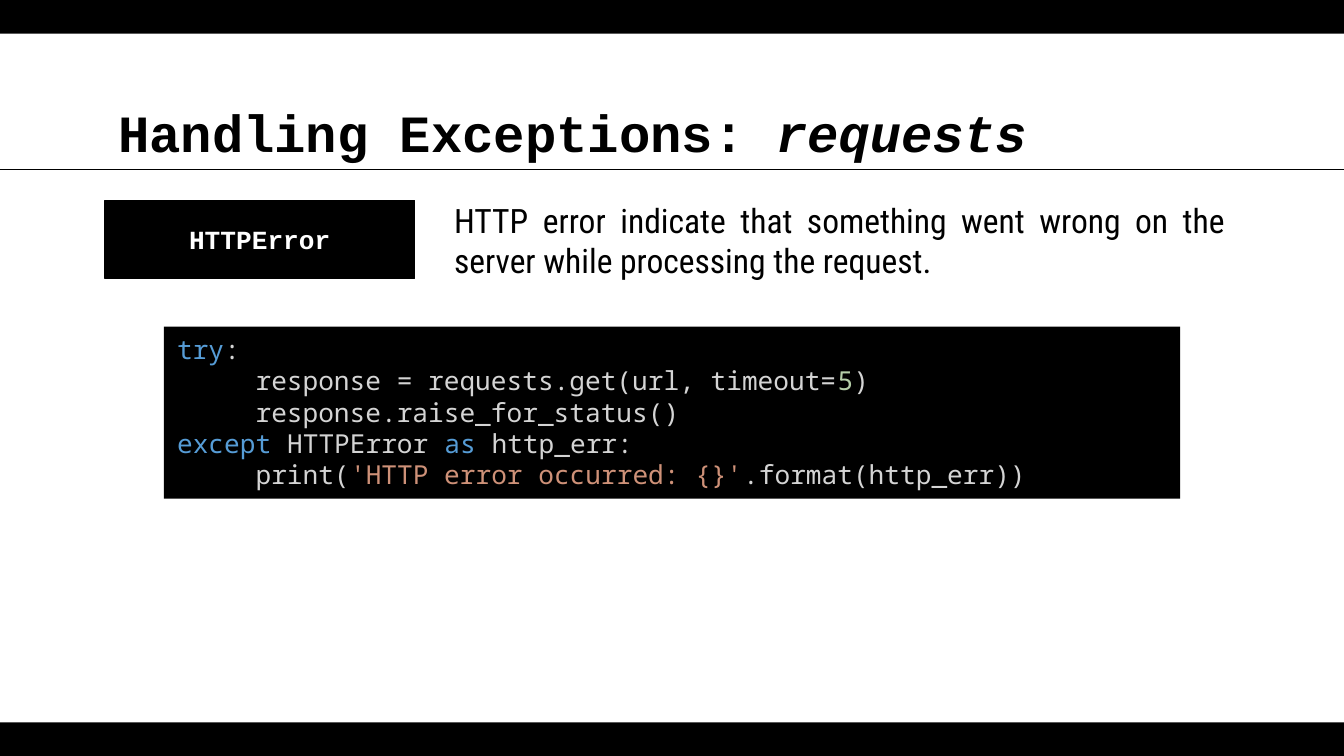
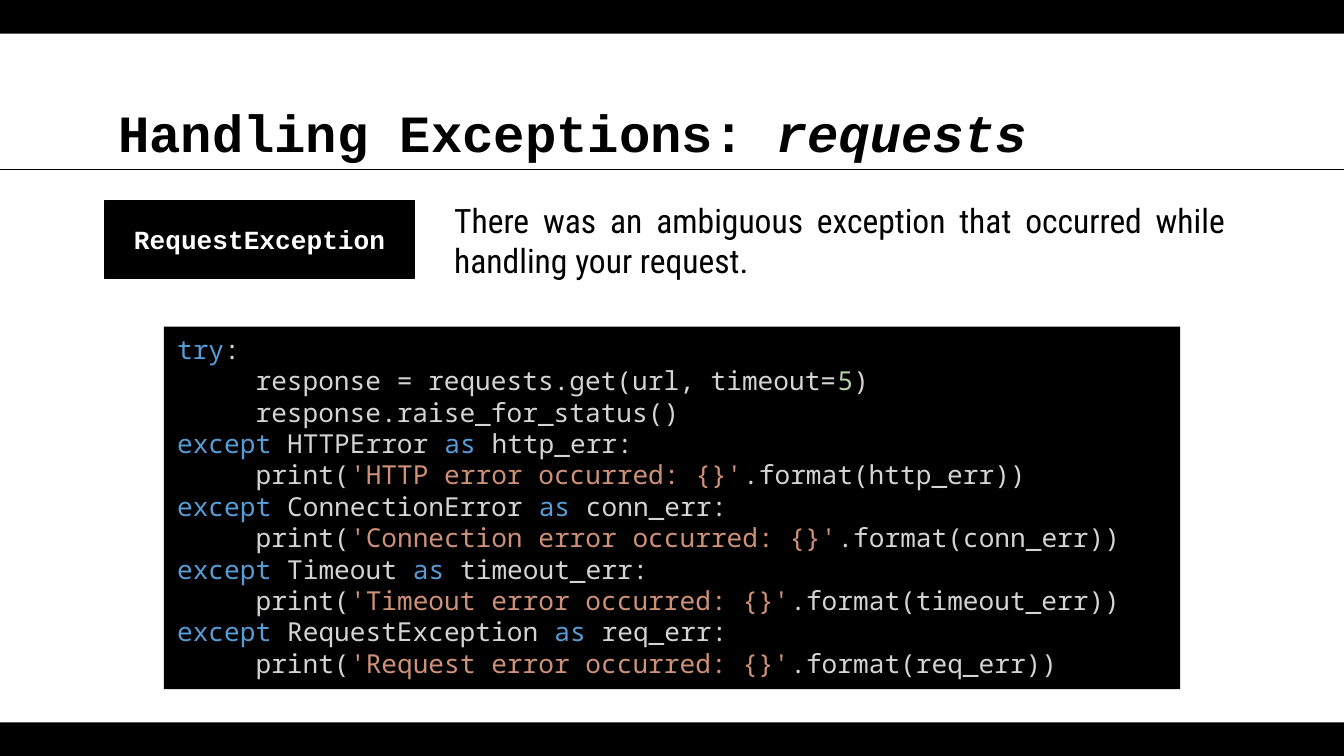
"""Build two slides on handling exceptions with the requests library."""
from typing import NamedTuple

from lxml.etree import SubElement
from pptx import Presentation
from pptx.dml.color import RGBColor
from pptx.enum.shapes import MSO_CONNECTOR as Connector, MSO_SHAPE as Shape
from pptx.enum.text import MSO_ANCHOR as Anchor, PP_ALIGN as Align
from pptx.oxml.ns import qn
from pptx.util import Pt

COLORS = {
    "black": "000000",
    "white": "FFFFFF",
    "keyword": "569CD6",
    "plain": "D4D4D4",
    "number": "B5CEA8",
    "string": "CE9178",
}
SLIDE_WIDTH, SLIDE_HEIGHT = 720, 405
BAND_HEIGHT = 18
MARGIN = 56.2
CONTENT_WIDTH = SLIDE_WIDTH - 2 * MARGIN
RULE_TOP = 90.7
CODE_LEFT, CODE_TOP = 87.8, 175
CODE_LINE_HEIGHT = 17
INDENT = " " * 5


class Box(NamedTuple):
    left: float
    top: float
    width: float
    height: float


class Style(NamedTuple):
    font: str
    size: float
    bold: bool = False
    align: Align = Align.LEFT
    anchor: Anchor = Anchor.TOP
    insets: tuple[float, float, float, float] = (7.2, 7.2, 7.2, 7.2)


class Token(NamedTuple):
    text: str
    color: str = "plain"
    italic: bool = False


class Handler(NamedTuple):
    exception: str
    variable: str
    label: str


class Topic(NamedTuple):
    exception: str
    description: str
    handlers: list[Handler]


TITLE = Style("Courier New", 28, True, anchor=Anchor.BOTTOM, insets=(7.2, 7.2, 7.2, 3.6))
BODY = Style("Roboto Condensed", 18, align=Align.JUSTIFY)
LABEL = Style("Courier New", 14, True, Align.CENTER, Anchor.MIDDLE)
CODE = Style("Noto Sans Mono", 14, insets=(7.2, 3.6, 7.2, 3.6))

HANDLERS = [
    Handler("HTTPError", "http_err", "HTTP"),
    Handler("ConnectionError", "conn_err", "Connection"),
    Handler("Timeout", "timeout_err", "Timeout"),
    Handler("RequestException", "req_err", "Request"),
]
TOPICS = [
    Topic(
        "HTTPError",
        "HTTP error indicate that something went wrong on the server while processing the request.",
        HANDLERS[:1],
    ),
    Topic(
        "RequestException",
        "There was an ambiguous exception that occurred while handling your request.",
        HANDLERS,
    ),
]
TRY_LINES = [
    [Token("try", "keyword"), Token(":")],
    [Token(f"{INDENT}response = requests.get(url, timeout="), Token("5", "number"), Token(")")],
    [Token(f"{INDENT}response.raise_for_status()")],
]


def rgb(name: str) -> RGBColor:
    return RGBColor.from_string(COLORS[name])


def write(shape, lines: list[list[Token]], style: Style) -> None:
    frame = shape.text_frame
    frame.word_wrap = True
    frame.vertical_anchor = style.anchor
    frame.margin_left, frame.margin_top, frame.margin_right, frame.margin_bottom = map(
        Pt, style.insets
    )
    for index, tokens in enumerate(lines):
        paragraph = frame.add_paragraph() if index else frame.paragraphs[0]
        paragraph.alignment = style.align
        for token in tokens:
            run = paragraph.add_run()
            run.text = token.text
            run.font.name = style.font
            run.font.size = Pt(style.size)
            run.font.bold = style.bold
            run.font.italic = token.italic
            run.font.color.rgb = rgb(token.color)


def add_text(slide, box: Box, tokens: list[Token], style: Style) -> None:
    write(slide.shapes.add_textbox(*map(Pt, box)), [tokens], style)


def add_block(slide, box: Box, outlined: bool = False):
    shape = slide.shapes.add_shape(Shape.RECTANGLE, *map(Pt, box))
    shape.shadow.inherit = False
    shape.fill.solid()
    shape.fill.fore_color.rgb = rgb("black")
    if outlined:
        shape.line.color.rgb = rgb("black")
        shape.line.width = Pt(0.75)
    else:
        shape.line.fill.background()
    return shape


def add_frame(slide) -> None:
    slide.background.fill.solid()
    slide.background.fill.fore_color.rgb = rgb("white")
    for top in (SLIDE_HEIGHT - BAND_HEIGHT, 0):
        add_block(slide, Box(0, top, SLIDE_WIDTH, BAND_HEIGHT))
    add_text(
        slide,
        Box(MARGIN, 42.5, CONTENT_WIDTH, RULE_TOP - 42.5),
        [Token("Handling Exceptions: ", "black"), Token("requests", "black", True)],
        TITLE,
    )
    rule = slide.shapes.add_connector(
        Connector.STRAIGHT, Pt(-1.4), Pt(RULE_TOP), Pt(SLIDE_WIDTH + 1.4), Pt(RULE_TOP)
    )
    rule.line.color.rgb = rgb("black")
    rule.line.width = Pt(0.75)
    SubElement(rule.element.spPr, qn("a:effectLst"))


def handler_lines(handler: Handler) -> list[list[Token]]:
    return [
        [
            Token("except ", "keyword"),
            Token(f"{handler.exception} "),
            Token("as ", "keyword"),
            Token(f"{handler.variable}:"),
        ],
        [
            Token(f"{INDENT}print("),
            Token(f"'{handler.label} error occurred: {{}}'", "string"),
            Token(f".format({handler.variable}))"),
        ],
    ]


def add_topic(presentation, topic: Topic) -> None:
    slide = presentation.slides.add_slide(presentation.slide_layouts[6])
    add_frame(slide)
    add_text(slide, Box(236.2, 100, 427.6, 53.3), [Token(topic.description, "black")], BODY)
    label = add_block(slide, Box(MARGIN, 107.3, 166, 42), outlined=True)
    write(label, [[Token(topic.exception, "white")]], LABEL)

    lines = TRY_LINES + [line for handler in topic.handlers for line in handler_lines(handler)]
    height = CODE_LINE_HEIGHT * len(lines) + 7.2
    code = add_block(slide, Box(CODE_LEFT, CODE_TOP, SLIDE_WIDTH - 2 * CODE_LEFT, height))
    write(code, lines, CODE)


def main() -> None:
    presentation = Presentation()
    presentation.slide_width = Pt(SLIDE_WIDTH)
    presentation.slide_height = Pt(SLIDE_HEIGHT)
    for topic in TOPICS:
        add_topic(presentation, topic)
    presentation.save("out.pptx")


if __name__ == "__main__":
    main()
